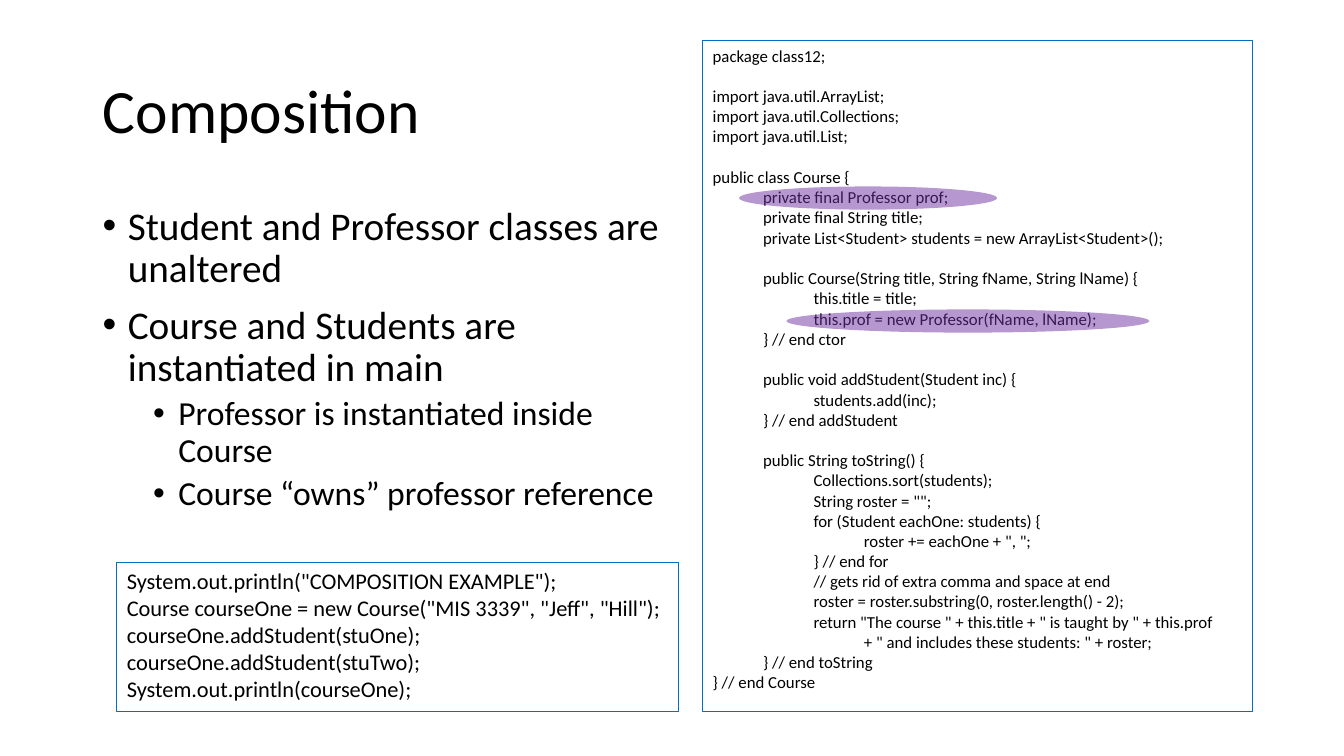
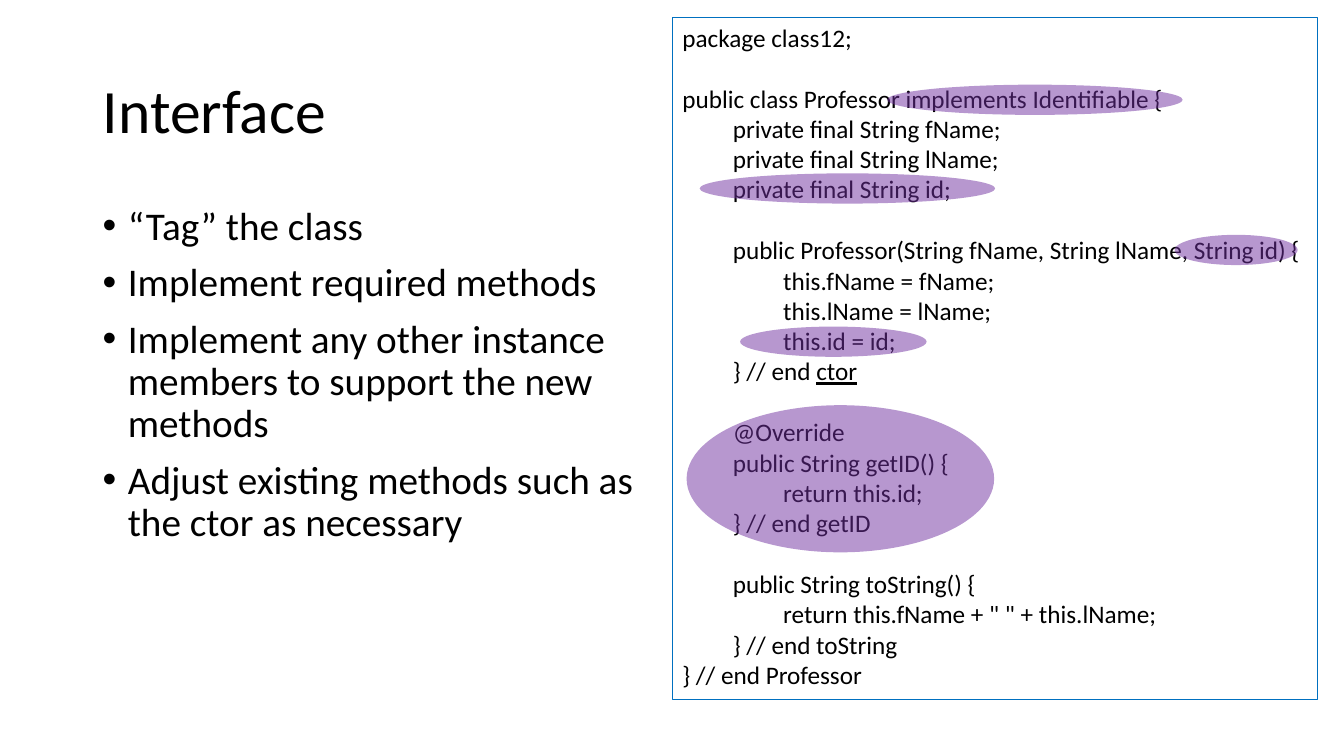
from pptx import Presentation
from pptx.dml.color import RGBColor
from pptx.enum.shapes import MSO_SHAPE as SHAPE
from pptx.enum.text import MSO_ANCHOR as ANCHOR, MSO_AUTO_SIZE as AUTO, PP_ALIGN as ALIGN
from pptx.oxml.ns import qn
from pptx.util import Inches, Pt
from lxml.etree import SubElement

COLORS = {"text": "000000", "outline": "0070C0", "highlight": "7030A0"}
FONT = "Calibri"
TITLE_BOX = (0.92, 0.4, 11.5, 1.45)
LINE_HEIGHT = 1.22   # single line of the font, in ems
INDENT = 0.5         # inches per code level

# Listings: blocks of lines, set one empty line apart
COURSE_CODE = [
    "package class12;",
    """\
import java.util.ArrayList;
import java.util.Collections;
import java.util.List;""",
    """\
public class Course {
\tprivate final Professor prof;
\tprivate final String title;
\tprivate List<Student> students = new ArrayList<Student>();""",
    """\
\tpublic Course(String title, String fName, String lName) {
\t\tthis.title = title;
\t\tthis.prof = new Professor(fName, lName);
\t} // end ctor""",
    """\
\tpublic void addStudent(Student inc) {
\t\tstudents.add(inc);
\t} // end addStudent""",
    """\
\tpublic String toString() {
\t\tCollections.sort(students);
\t\tString roster = "";
\t\tfor (Student eachOne: students) {
\t\t\troster += eachOne + ", ";
\t\t} // end for
\t\t// gets rid of extra comma and space at end
\t\troster = roster.substring(0, roster.length() - 2);
\t\treturn "The course " + this.title + " is taught by " + this.prof
\t\t\t+ " and includes these students: " + roster;
\t} // end toString
} // end Course""",
]

MAIN_CODE = ["""\
System.out.println("COMPOSITION EXAMPLE");
Course courseOne = new Course("MIS 3339", "Jeff", "Hill");
courseOne.addStudent(stuOne);
courseOne.addStudent(stuTwo);
System.out.println(courseOne);"""]

PROFESSOR_CODE = [
    "package class12;",
    """\
public class Professor implements Identifiable {
\tprivate final String fName;
\tprivate final String lName;
\tprivate final String id;""",
    """\
\tpublic Professor(String fName, String lName, String id) {
\t\tthis.fName = fName;
\t\tthis.lName = lName;
\t\tthis.id = id;
\t} // end ctor""",
    """\
\t@Override
\tpublic String getID() {
\t\treturn this.id;
\t} // end getID""",
    """\
\tpublic String toString() {
\t\treturn this.fName + " " + this.lName;
\t} // end toString
} // end Professor""",
]


def rgb(name):
    return RGBColor.from_string(COLORS[name])


def inches(box):
    return [Inches(v) for v in box]


def add_run(p, text, size, underline=None):
    r = p.add_run()
    r.text = text
    r.font.name, r.font.size = FONT, Pt(size)
    r.font.color.rgb = rgb("text")
    r.font.underline = underline


def add_text_box(s, box):
    sp = s.shapes.add_textbox(*inches(box))
    sp.text_frame.word_wrap = True
    sp.text_frame.auto_size = AUTO.NONE
    return sp


def next_paragraph(tf, first, left, hanging=0):
    p = tf.paragraphs[0] if first else tf.add_paragraph()
    pPr = p._p.get_or_add_pPr()
    pPr.set("marL", str(Inches(left)))
    pPr.set("indent", str(Inches(-hanging)))
    return p


def add_titled_slide(prs, title):
    s = prs.slides.add_slide(prs.slide_layouts[5])
    sp = s.shapes.title
    sp.left, sp.top, sp.width, sp.height = inches(TITLE_BOX)
    tf = sp.text_frame
    tf.auto_size, tf.vertical_anchor = AUTO.NONE, ANCHOR.MIDDLE
    p = tf.paragraphs[0]
    p.alignment, p.line_spacing = ALIGN.LEFT, 0.9
    add_run(p, title, 44)
    return s


def add_bullets(s, box, items):
    """Items are (level, text) pairs."""
    tf = add_text_box(s, box).text_frame
    for i, (level, text) in enumerate(items):
        p = next_paragraph(tf, i == 0, 0.25 + 0.5 * level, 0.25)
        p.line_spacing = 0.9
        p.space_before = Pt(5 if level else 10)
        pPr = p._p.get_or_add_pPr()
        SubElement(pPr, qn("a:buFont")).set("typeface", "Arial")
        SubElement(pPr, qn("a:buChar")).set("char", "•")
        add_run(p, text, 24 if level else 28)


def add_code(s, box, blocks, size, underlined=None, highlights=()):
    """Outlined listing; highlights are boxes measured from its top left corner."""
    sp = add_text_box(s, box)
    sp.line.color.rgb = rgb("outline")
    sp.line.width = Pt(0.75)
    for b, block in enumerate(blocks):
        for i, line in enumerate(block.split("\n")):
            text = line.lstrip("\t")
            level = len(line) - len(text)
            p = next_paragraph(sp.text_frame, b == i == 0, INDENT * level)
            p.space_before = Pt(size * LINE_HEIGHT if b and i == 0 else 0)
            if underlined and text.endswith(" " + underlined):
                add_run(p, text[:-len(underlined)], size)
                add_run(p, underlined, size, True)
            else:
                add_run(p, text, size)
    for dx, dy, w, h in highlights:
        add_highlight(s, (box[0] + dx, box[1] + dy, w, h))


def add_highlight(s, box):
    sp = s.shapes.add_shape(SHAPE.OVAL, *inches(box))
    sp.shadow.inherit = False
    sp.line.fill.background()
    sp.fill.solid()
    sp.fill.fore_color.rgb = rgb("highlight")
    color = sp._element.spPr.find(qn("a:solidFill"))[0]
    SubElement(color, qn("a:alpha")).set("val", "50000")


def build_composition(prs):
    s = add_titled_slide(prs, "Composition")
    add_bullets(s, (0.92, 2, 6.05, 3.34), [
        (0, "Student and Professor classes are unaltered"),
        (0, "Course and Students are instantiated in main"),
        (1, "Professor is instantiated inside Course"),
        (1, "Course “owns” professor reference"),
    ])
    add_code(s, (6.97, 0.4, 5.45, 6.66), COURSE_CODE, 12, highlights=[
        (0.36, 1.45, 2.56, 0.23),   # professor field
        (0.83, 2.67, 3.6, 0.23),    # professor instantiation
    ])
    add_code(s, (1.16, 5.58, 5.57, 1.48), MAIN_CODE, 16)


def build_interface(prs):
    s = add_titled_slide(prs, "Interface")
    add_bullets(s, (0.92, 2, 5.75, 4.76), [
        (0, "“Tag” the class"),
        (0, "Implement required methods"),
        (0, "Implement any other instance members to support the new methods"),
        (0, "Adjust existing methods such as the ctor as necessary"),
    ])
    add_code(s, (6.67, 0.17, 6.4, 6.77), PROFESSOR_CODE, 18, "ctor", [
        (2.13, 0.67, 2.93, 0.3),    # implements clause
        (0.27, 1.55, 2.93, 0.3),    # id field
        (0.14, 3.85, 3.05, 1.46),   # getID method
        (0.67, 3.07, 1.85, 0.3),    # id assignment
        (4.98, 2.16, 1.22, 0.3),    # id parameter
    ])


def main():
    prs = Presentation()
    prs.slide_width, prs.slide_height = Inches(13.33), Inches(7.5)
    build_composition(prs)
    build_interface(prs)
    prs.save("out.pptx")


if __name__ == "__main__":
    main()
